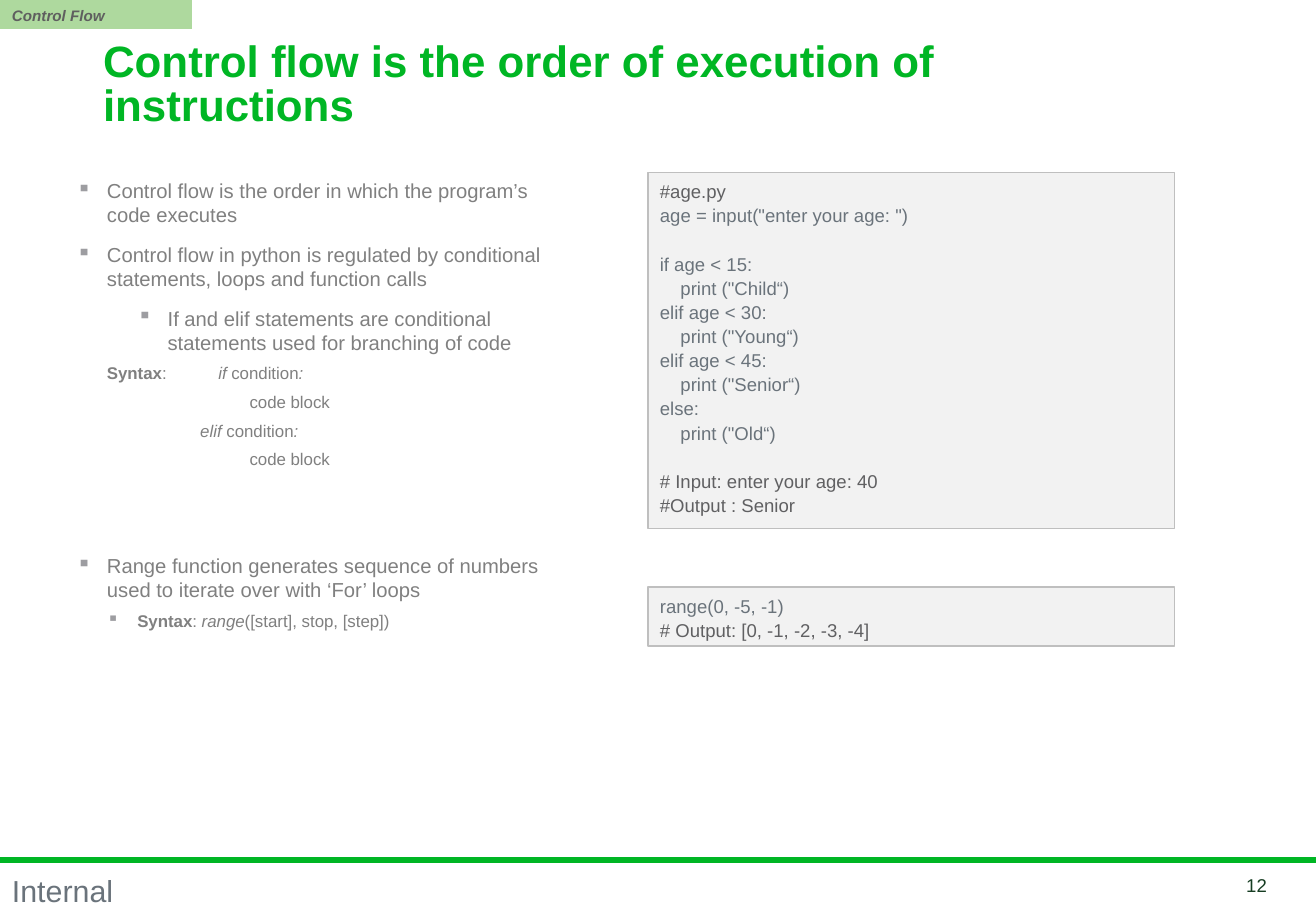
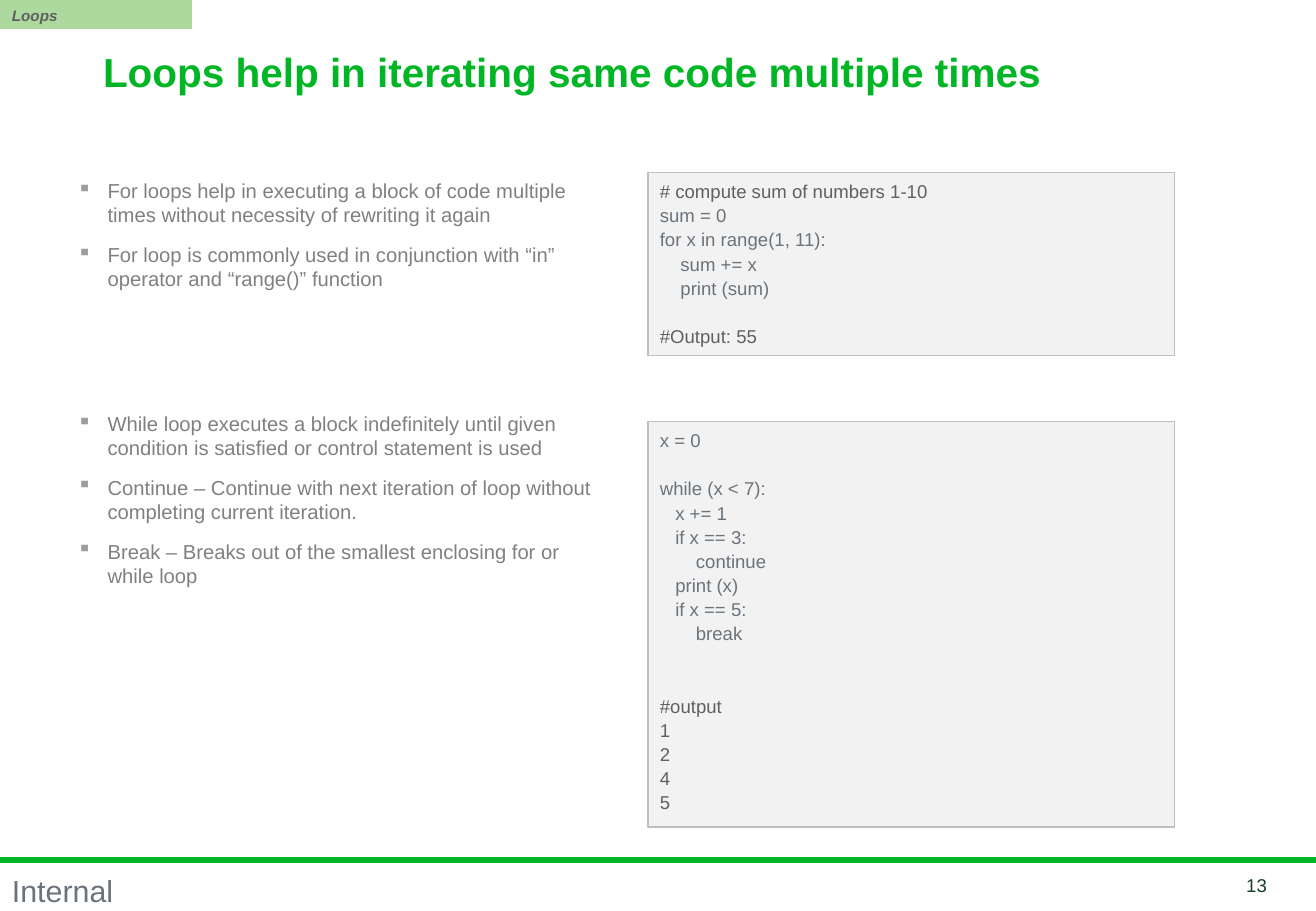
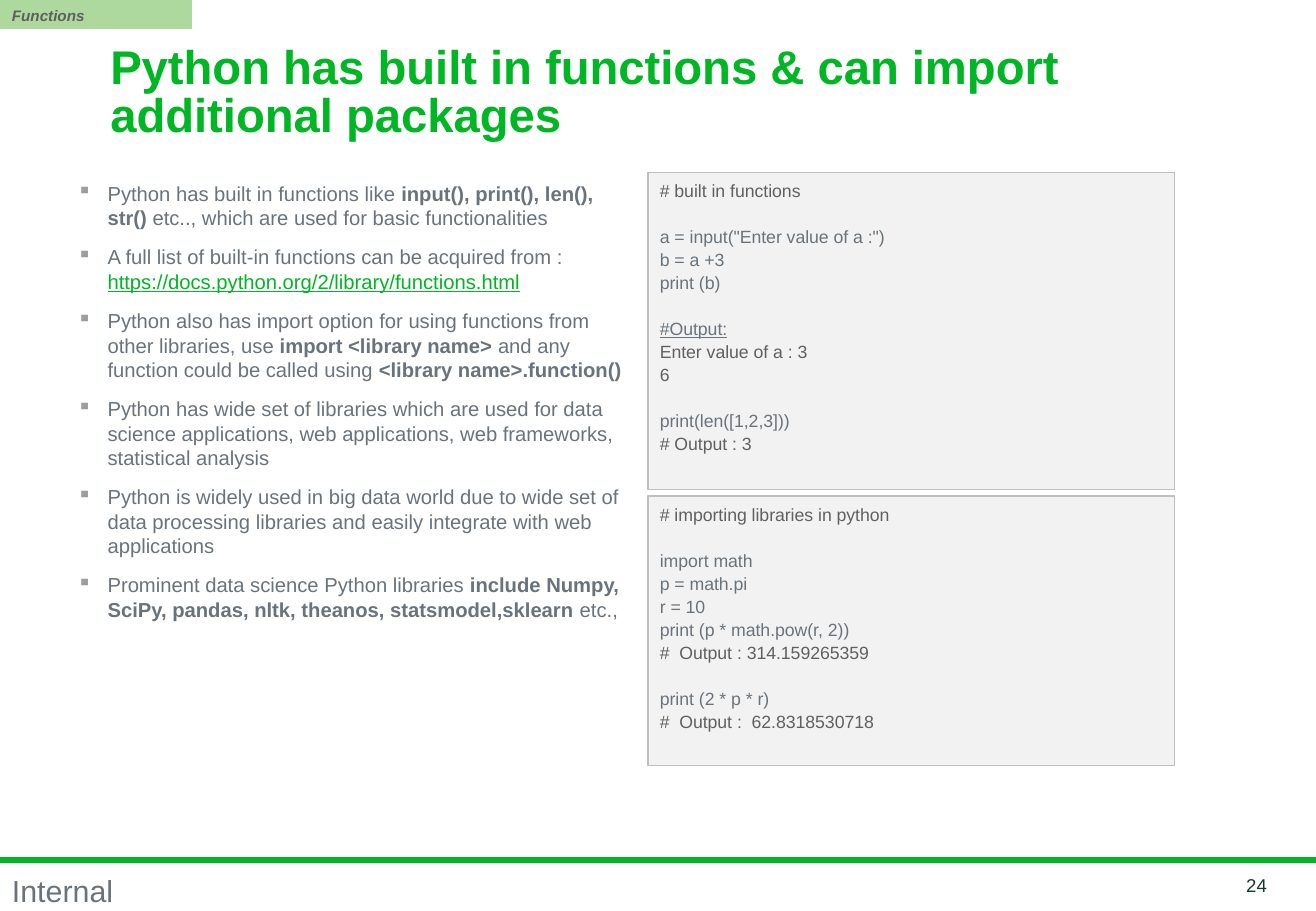
from lxml.etree import SubElement
from pptx import Presentation
from pptx.dml.color import RGBColor
from pptx.enum.shapes import MSO_CONNECTOR as Connector, MSO_SHAPE as Shape
from pptx.enum.text import MSO_ANCHOR as Anchor, PP_ALIGN as Align
from pptx.oxml.ns import qn
from pptx.util import Pt


def color(value):
    return RGBColor.from_string(value)


class Lesson:
    """Hold the lesson style and the current page, and draw each kind of element."""

    FONT = "Arial"
    WIDTH, HEIGHT = 780, 540
    GREEN, TAG, TAG_TEXT, NUMBER = "00B624", "AED99E", "5F5F5F", "163D22"
    SLATE, GRAY, NOTE = "6A737B", "808080", "606062"
    PANEL, EDGE, BULLET = "F2F2F2", "BFBFBF", "9D9DA1"
    CODE_LEFT, CODE_WIDTH, CODE_TOP = 384, 312, 102.2
    LINE, CODE_SPACE = 1.2, 0.1

    def __init__(self):
        self.deck = Presentation()
        self.deck.slide_width = Pt(self.WIDTH)
        self.deck.slide_height = Pt(self.HEIGHT)
        self.page = None

    def start(self, topic, number, title, title_box, title_size):
        self.page = self.deck.slides.add_slide(self.deck.slide_layouts[6])
        self.rule(509.8)
        footer = self.text_box((0, 514.8, 75, 28), wrap=False)
        self.set_text(footer.paragraphs[0], "Internal", 18, self.SLATE).line_spacing = 0.95
        tag = self.panel((0, 0, 113.8, 17.2), self.TAG)
        label = self.set_text(tag.paragraphs[0], topic, 9, self.TAG_TEXT)
        label.font.bold = label.font.italic = True
        counter = self.text_box((699, 517.7, 59, 14.4), Anchor.MIDDLE)
        digits = self.set_text(counter.paragraphs[0], str(number), 11, self.NUMBER)
        digits.alignment = Align.RIGHT
        heading = self.text_box(title_box, Anchor.MIDDLE)
        para = self.set_text(heading.paragraphs[0], title, title_size, self.GREEN)
        para.font.bold = True
        para.line_spacing = 0.85

    def rule(self, top):
        line = self.page.shapes.add_connector(
            Connector.STRAIGHT, 0, Pt(top), Pt(self.WIDTH), Pt(top))
        line.line.color.rgb = color(self.GREEN)
        line.line.width = Pt(3.5)
        SubElement(line._element.spPr, qn("a:effectLst"))

    def text_box(self, box, anchor=Anchor.TOP, wrap=True):
        frame = self.page.shapes.add_textbox(*map(Pt, box)).text_frame
        frame.word_wrap = wrap
        frame.vertical_anchor = anchor
        return frame

    def panel(self, box, fill, edge=None):
        shape = self.page.shapes.add_shape(Shape.RECTANGLE, *map(Pt, box))
        shape.shadow.inherit = False
        shape.fill.solid()
        shape.fill.fore_color.rgb = color(fill)
        if edge:
            shape.line.color.rgb = color(edge)
            shape.line.width = Pt(0.75)
        else:
            shape.line.fill.background()
        frame = shape.text_frame
        frame.word_wrap = True
        frame.vertical_anchor = Anchor.TOP
        return frame

    def set_text(self, para, spans, size, ink):
        para.alignment = Align.LEFT
        para.font.name = self.FONT
        para.font.size = Pt(size)
        para.font.color.rgb = color(ink)
        for span in [spans] if isinstance(spans, str) else spans:
            text, style = (span, "") if isinstance(span, str) else span
            run = para.add_run()
            run.text = text
            if style == "bold":
                run.font.bold = True
            elif style == "italic":
                run.font.italic = True
            elif style == "link":
                run.font.underline = True
                run.font.color.rgb = color(self.GREEN)
        return para

    def next_para(self, frame, space):
        first = frame.paragraphs[0]
        if not first.runs:
            return first
        para = frame.add_paragraph()
        para.space_before = Pt(round(space, 2))
        return para

    def item(self, frame, spans, ink=GRAY, size=12, left=18, hang=18, space=9, bullet=True):
        para = self.next_para(frame, space)
        props = para._p.get_or_add_pPr()
        props.set("marL", str(Pt(left)))
        props.set("indent", str(Pt(-hang)))
        if bullet:
            tint = SubElement(props, qn("a:buClr"))
            SubElement(tint, qn("a:srgbClr")).set("val", self.BULLET)
            SubElement(props, qn("a:buChar")).set("char", "▪")
        self.set_text(para, spans, size, ink)

    def syntax(self, frame, spans, left, hang=0, bullet=False):
        self.item(frame, spans, size=10, left=left, hang=hang, space=5, bullet=bullet)

    def listing(self, top, height, groups, size=11):
        frame = self.panel(
            (self.CODE_LEFT, top, self.CODE_WIDTH, height), self.PANEL, self.EDGE)
        frame.margin_top = Pt(4.6)
        blanks = 0
        for kind, lines in groups:
            for line in lines:
                if not line:
                    blanks += 1
                    continue
                space = size * (self.CODE_SPACE + blanks * (self.LINE + self.CODE_SPACE))
                para = self.next_para(frame, space)
                self.set_text(para, line, size, self.NOTE if kind == "note" else self.SLATE)
                para.font.underline = True if kind == "underlined" else None
                blanks = 0


def control_flow(lesson):
    lesson.start("Control Flow", 12, "Control flow is the order of execution of instructions",
                 (54, 30.2, 648, 41.8), 26)
    body = lesson.text_box((38.3, 102.2, 303, 312.5))
    lesson.item(body, "Control flow is the order in which the program’s code executes")
    lesson.item(body, "Control flow in python is regulated by conditional statements, "
                      "loops and function calls")
    lesson.item(body, "If and elif statements are conditional statements used for "
                      "branching of code", left=54)
    condition = ["condition", (":", "italic")]
    lesson.syntax(body, [("Syntax", "bold"), ":\t", ("if ", "italic"), *condition], 84, 66)
    lesson.syntax(body, "code block", 102.5)
    lesson.syntax(body, [("elif ", "italic"), *condition], 73.3)
    lesson.syntax(body, "code block", 102.5)
    lesson.item(body, "Range function generates sequence of numbers used to iterate over "
                      "with ‘For’ loops", space=49.8)
    lesson.syntax(body, [("Syntax", "bold"), ": ", ("range", "italic"),
                         "([start], stop, [step])"], 36, 18, True)
    lesson.listing(lesson.CODE_TOP, 211, [
        ("note", ["#age.py"]),
        ("code", ['age = input("enter your age: ")', "",
                  "if age < 15:", '    print ("Child“)',
                  "elif age < 30:", '    print ("Young“)',
                  "elif age < 45:", '    print ("Senior“)',
                  "else:", '    print ("Old“)', ""]),
        ("note", ["# Input: enter your age: 40", "#Output : Senior"])])
    lesson.listing(348, 35, [
        ("code", ["range(0, -5, -1)"]),
        ("note", ["# Output: [0, -1, -2, -3, -4]"])])


def loops(lesson):
    lesson.start("Loops", 13, "Loops help in iterating same code multiple times",
                 (54, 23.8, 648, 41.8), 24)
    body = lesson.text_box((38.7, 102.2, 327.6, 378))
    lesson.item(body, "For loops help in executing a block of code multiple times without "
                      "necessity of rewriting it again")
    lesson.item(body, "For loop is commonly used in conjunction with “in” operator and "
                      "“range()” function")
    lesson.item(body, "While loop executes a block indefinitely until given condition is "
                      "satisfied or control statement is used", space=71.4)
    lesson.item(body, "Continue – Continue with next iteration of loop without completing "
                      "current iteration.")
    lesson.item(body, "Break – Breaks out of the smallest enclosing for or while loop")
    lesson.listing(lesson.CODE_TOP, 108.5, [
        ("note", ["# compute sum of numbers 1-10"]),
        ("code", ["sum = 0", "for x in range(1, 11):", "    sum += x",
                  "    print (sum)", ""]),
        ("note", ["#Output: 55"])])
    lesson.listing(249.8, 240.5, [
        ("code", ["x = 0", "", "while (x < 7):", "   x += 1", "   if x == 3:",
                  "       continue", "   print (x)", "   if x == 5:",
                  "       break", "", ""]),
        ("note", ["#output", "1", "2", "4", "5"])])


def functions(lesson):
    lesson.start("Functions", 24,
                 "Python has built in functions & can import additional packages",
                 (58.3, 28.1, 578.2, 55.4), 28)
    body = lesson.text_box((38.7, 103.7, 345.6, 286.6))
    items = [
        ["Python has built in functions like ", ("input(), print(), len(), str() ", "bold"),
         "etc.., which are used for basic functionalities"],
        ["A full list of built-in functions can be acquired from : ",
         ("https://docs.python.org/2/library/functions.html", "link")],
        ["Python also has import option for using functions from other libraries, use ",
         ("import <library name> ", "bold"), "and any function could be called using ",
         ("<library name>.function()", "bold")],
        "Python has wide set of libraries which are used for data science applications, "
        "web applications, web frameworks, statistical analysis",
        "Python is widely used in big data world due to wide set of data processing "
        "libraries and easily integrate with web applications",
        ["Prominent data science Python libraries ",
         ("include Numpy, SciPy, pandas, nltk, theanos, statsmodel,sklearn ", "bold"),
         "etc.,"]]
    for spans in items:
        lesson.item(body, spans, lesson.SLATE)
    lesson.listing(lesson.CODE_TOP, 188, [
        ("note", ["# built in functions", ""]),
        ("code", ['a = input("Enter value of a :")', "b = a +3", "print (b)", ""]),
        ("underlined", ["#Output:"]),
        ("note", ["Enter value of a : 3", "6", ""]),
        ("code", ["print(len([1,2,3]))"]),
        ("note", ["# Output : 3"])], 10.5)
    lesson.listing(294, 159.8, [
        ("note", ["# importing libraries in python", ""]),
        ("code", ["import math", "p = math.pi", "r = 10", "print (p * math.pow(r, 2))"]),
        ("note", ["#  Output : 314.159265359", ""]),
        ("code", ["print (2 * p * r)"]),
        ("note", ["#  Output :  62.8318530718"])], 10.5)


def main():
    lesson = Lesson()
    for build in (control_flow, loops, functions):
        build(lesson)
    lesson.deck.save("out.pptx")


if __name__ == "__main__":
    main()
